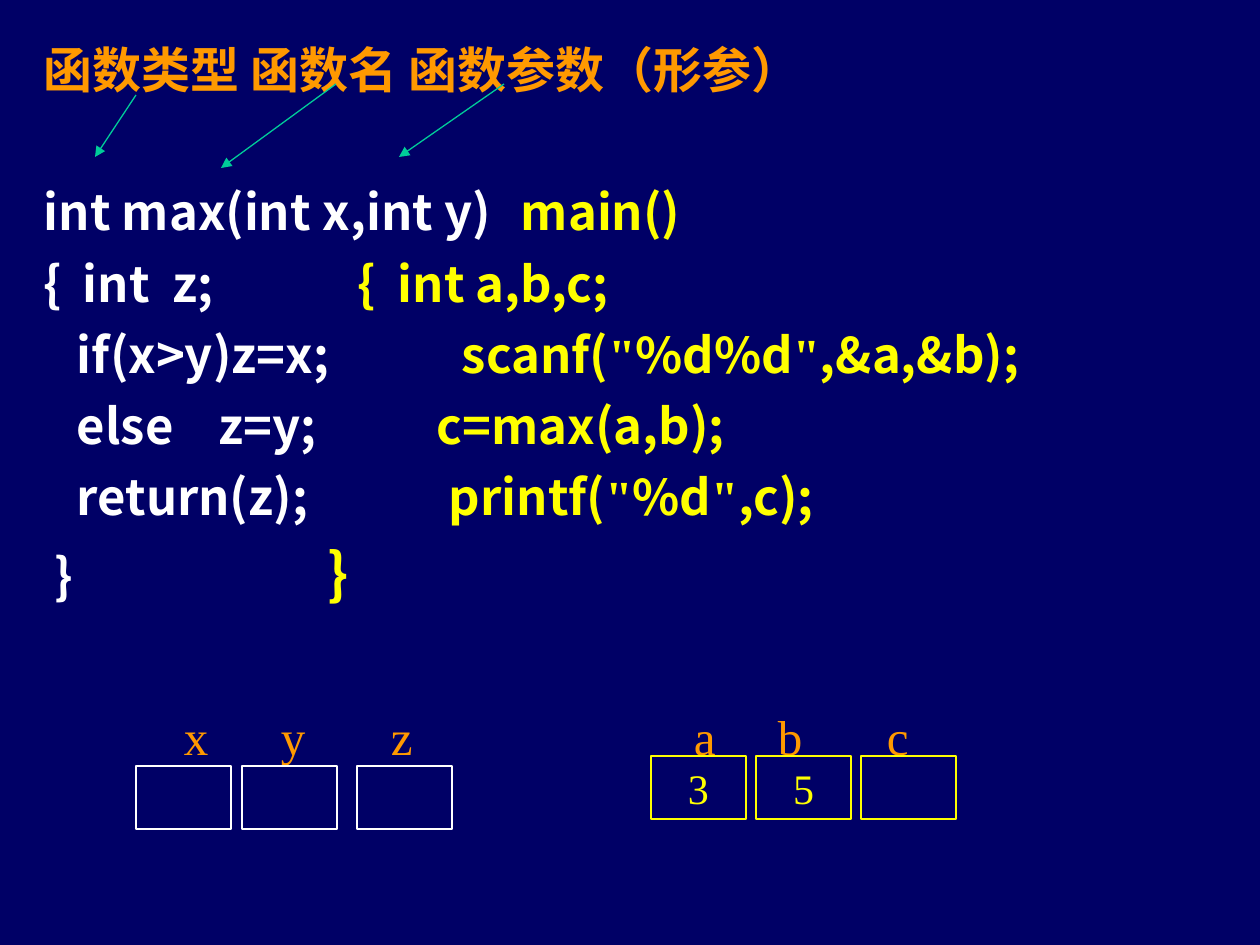
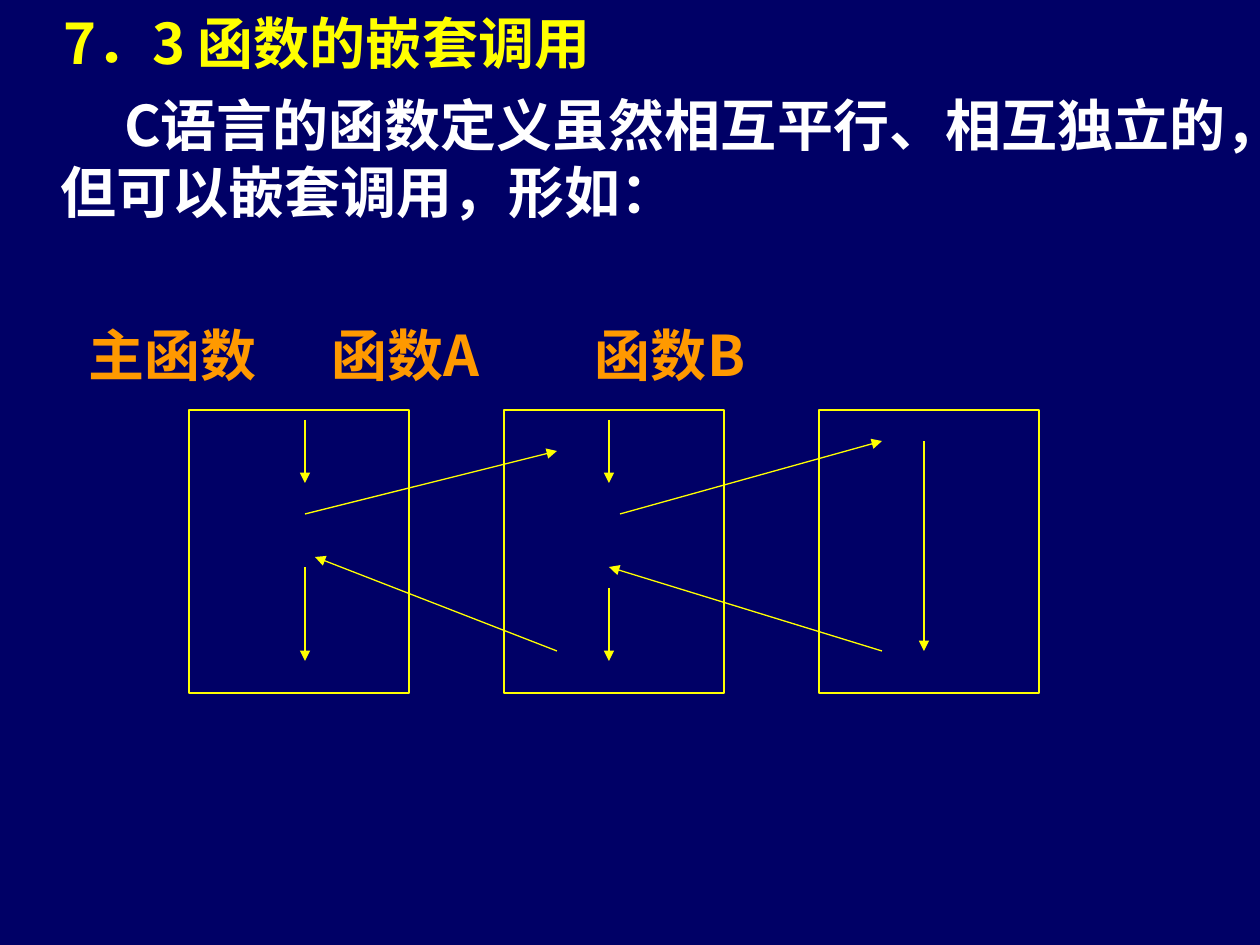
"""Build two slides on C functions: parameter passing and nested calls."""
import lxml.etree
import pptx
import pptx.dml.color
import pptx.enum.shapes
import pptx.enum.text
import pptx.oxml
import pptx.oxml.ns
import pptx.util

SCALE = 914400 / 126
NAVY = pptx.dml.color.RGBColor(0x00, 0x00, 0x66)
WHITE = pptx.dml.color.RGBColor(0xFF, 0xFF, 0xFF)
YELLOW = pptx.dml.color.RGBColor(0xFF, 0xFF, 0x00)
ORANGE = pptx.dml.color.RGBColor(0xFF, 0x99, 0x00)
GREEN = pptx.dml.color.RGBColor(0x00, 0xCC, 0x99)
SANS = "Noto Sans CJK SC"
SERIF = "Times New Roman"
qn = pptx.oxml.ns.qn


def add_text(slide, left, top, width, size, lines, font=SANS):
    """Add a text box of lines, each a list of tab stops and a list of runs."""
    box = slide.shapes.add_textbox(*[round(v * SCALE) for v in (left, top, width, 70 * len(lines))])
    frame = box.text_frame
    frame.word_wrap = True
    frame.margin_left = frame.margin_right = frame.margin_top = frame.margin_bottom = 0
    for index, (tabs, runs) in enumerate(lines):
        paragraph = frame.paragraphs[0] if index == 0 else frame.add_paragraph()
        line_size = max([size] + [run[3] for run in runs if len(run) > 3])
        paragraph.line_spacing = pptx.util.Pt(line_size * 1.2)
        paragraph.space_before = pptx.util.Pt(line_size / 4 if index else 0)
        if tabs:
            tab_list = lxml.etree.SubElement(paragraph._p.get_or_add_pPr(), qn("a:tabLst"))
            for tab in tabs:
                lxml.etree.SubElement(tab_list, qn("a:tab"), pos=str(round(tab * SCALE)), algn="l")
        for text, color, *style in runs:
            face = style[0] if style else font
            run = paragraph.add_run()
            run.text = text
            run.font.name = face
            run.font.size = pptx.util.Pt(style[1] if len(style) > 1 else size)
            run.font.bold = font == SANS
            run.font.color.rgb = color
            run.font._element.find(qn("a:latin")).addnext(
                run.font._element.makeelement(qn("a:ea"), {"typeface": face}))


def add_arrow(slide, start, end, color):
    """Add a thin line with a triangle head at its end."""
    arrow = slide.shapes.add_connector(
        pptx.enum.shapes.MSO_CONNECTOR.STRAIGHT, *[round(v * SCALE) for v in start + end])
    arrow.line.color.rgb = color
    arrow.line.width = pptx.util.Pt(0.75)
    lxml.etree.SubElement(arrow.line._get_or_add_ln(), qn("a:tailEnd"), type="triangle")
    lxml.etree.SubElement(arrow._element.spPr, qn("a:effectLst"))


presentation = pptx.Presentation()
presentation.slide_width = round(1260 * SCALE)
presentation.slide_height = round(945 * SCALE)
slides = []
for number in range(2):
    slide = presentation.slides.add_slide(presentation.slide_layouts[6])
    slide.background.fill.solid()
    slide.background.fill.fore_color.rgb = NAVY
    slides.append(slide)
parameter_slide, nesting_slide = slides

add_text(parameter_slide, 44, 40, 1170, 28, [
    ([], [("函数类型 函数名 函数参数（形参）", ORANGE)]),
])
add_text(parameter_slide, 44, 182, 1170, 28, [
    ([477], [("int max(int x,int y)\t", WHITE), ("main()", YELLOW)]),
    ([39, 129, 314, 354], [("{\tint\tz;\t", WHITE), ("{\tint a,b,c;", YELLOW)]),
    ([33, 418], [("\tif(x>y)z=x;\t", WHITE), ("scanf(", YELLOW), ("\"", YELLOW, SERIF),
                 ("%d%d", YELLOW), ("\"", YELLOW, SERIF), (",&a,&b);", YELLOW)]),
    ([33, 175, 393], [("\telse\tz=y;\t", WHITE), ("c=max(a,b);", YELLOW)]),
    ([33, 405], [("\treturn(z);\t", WHITE), ("printf(", YELLOW), ("\"", YELLOW, SERIF),
                 ("%d", YELLOW), ("\"", YELLOW, SERIF), (",c);", YELLOW)]),
    ([11, 284], [("\t}\t", WHITE), ("}", YELLOW, SANS, 32)]),
])
add_text(parameter_slide, 44, 707, 1170, 28, [
    ([140, 237, 347, 650, 734, 843], [("\tx\ty\tz\ta\tb\tc", ORANGE)]),
], SERIF)

add_text(nesting_slide, 60, 9, 1188, 32, [
    ([3], [("\t7．3 函数的嵌套调用", YELLOW)]),
    ([64], [("\tC语言的函数定义虽然相互平行、相互独立的，但可以嵌套调用，形如：", WHITE)]),
])
add_text(nesting_slide, 88, 320, 1150, 32, [
    ([243, 507], [("主函数\t函数A\t函数B", ORANGE)]),
])

boxes = [(parameter_slide, left, 766, 95, 63, WHITE, "") for left in (136, 242, 357)]
boxes += [(parameter_slide, 651 + 105 * i, 756, 95, 63, YELLOW, value)
          for i, value in enumerate(("3", "5", ""))]
boxes += [(nesting_slide, 189 + 315 * i, 410, 220, 283, YELLOW, "") for i in range(3)]
for slide, left, top, width, height, color, value in boxes:
    shape = slide.shapes.add_shape(
        pptx.enum.shapes.MSO_SHAPE.RECTANGLE, *[round(v * SCALE) for v in (left, top, width, height)])
    shape.shadow.inherit = False
    shape.fill.solid()
    shape.fill.fore_color.rgb = NAVY
    shape.line.color.rgb = color
    shape.line.width = pptx.util.Pt(0.75)
    if value:
        shape.text_frame.vertical_anchor = pptx.enum.text.MSO_ANCHOR.MIDDLE
        paragraph = shape.text_frame.paragraphs[0]
        paragraph.alignment = pptx.enum.text.PP_ALIGN.CENTER
        run = paragraph.add_run()
        run.text = value
        run.font.name = SERIF
        run.font.size = pptx.util.Pt(24)
        run.font.color.rgb = color

for start, end in [((136, 95), (95, 157)), ((336, 84), (221, 168)), ((504, 84), (399, 157))]:
    add_arrow(parameter_slide, start, end, GREEN)

for start, end in [
    ((305, 420), (305, 483)), ((305, 567), (305, 661)),
    ((305, 514), (557, 451)), ((557, 651), (315, 557)),
    ((609, 420), (609, 483)), ((609, 588), (609, 661)),
    ((620, 514), (882, 441)), ((882, 651), (609, 567)),
    ((924, 441), (924, 651)),
]:
    add_arrow(nesting_slide, start, end, YELLOW)

presentation.save("out.pptx")
